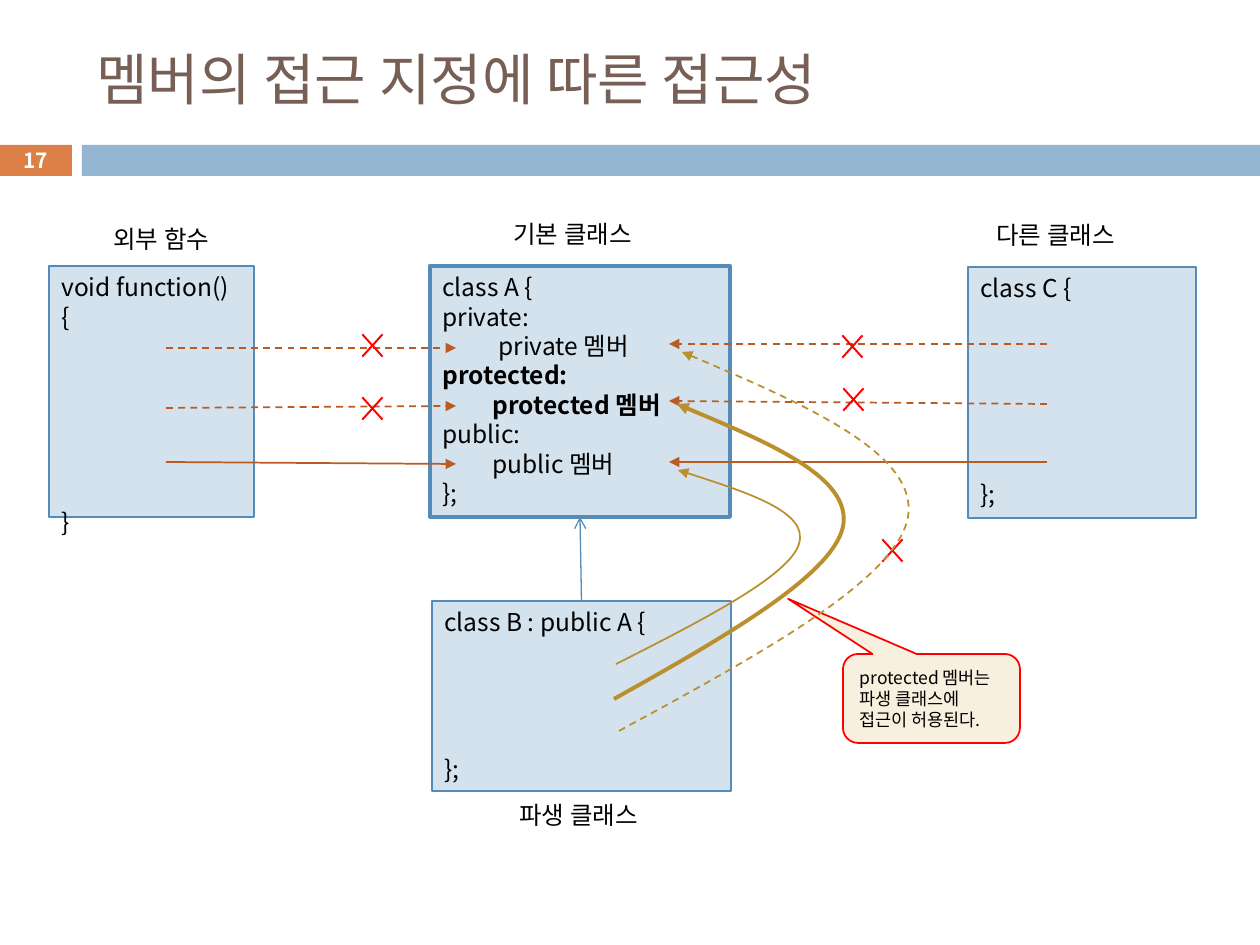
from lxml.etree import SubElement
from pptx import Presentation
from pptx.dml.color import RGBColor
from pptx.enum.dml import MSO_LINE as Dash
from pptx.enum.shapes import MSO_CONNECTOR as Link, MSO_SHAPE as Kind
from pptx.enum.text import MSO_ANCHOR as Anchor, PP_ALIGN as Align
from pptx.oxml.ns import qn
from pptx.util import Emu, Pt

SCALE = 914400 / 126
FONT = "Noto Sans CJK KR"
BLUE, PALE, RUST, GOLD, RED = "558BB8", "D4E2ED", "B95B22", "BA8F2D", "FF0000"


def px(n):
    return Emu(round(n * SCALE))


def color(code):
    return RGBColor.from_string(code)


def write(frame, text, size=14, ink="000000", bold=False, align=Align.LEFT,
          anchor=Anchor.TOP, wrap=True, indent=0, skip=0, first=True):
    frame.word_wrap = wrap
    frame.vertical_anchor = anchor
    para = frame.paragraphs[0] if first else frame.add_paragraph()
    para.alignment = align
    para.line_spacing = Pt(size * 1.2)
    if skip:
        para.space_before = Pt(size * 1.2 * skip)
    if indent:
        para._p.get_or_add_pPr().set("marL", str(px(indent)))
    run = para.add_run()
    run.text = text
    font = run.font
    font.name, font.size, font.bold = FONT, Pt(size), bold
    font.color.rgb = color(ink)
    SubElement(run._r.get_or_add_rPr(), qn("a:ea"), typeface=FONT)


def label(slide, text, x, y, w, h, **style):
    box = slide.shapes.add_textbox(px(x), px(y), px(w), px(h))
    write(box.text_frame, text, **style)


def block(slide, x, y, w, h, fill, edge=None, width=0.75, kind=Kind.RECTANGLE, adj=()):
    shape = slide.shapes.add_shape(kind, px(x), px(y), px(w), px(h))
    shape.shadow.inherit = False
    shape.fill.solid()
    shape.fill.fore_color.rgb = color(fill)
    for i, value in enumerate(adj):
        shape.adjustments[i] = value
    if edge:
        shape.line.color.rgb = color(edge)
        shape.line.width = Pt(width)
    else:
        shape.line.fill.background()
    return shape


def code(slide, place, rows, width=0.75):
    box = block(slide, *place, PALE, BLUE, width)
    for i, (text, style) in enumerate(rows):
        write(box.text_frame, text, first=i == 0, **style)
    return box


def stroke(shape, ink, width, dash, head):
    line = shape.line
    line.color.rgb = color(ink)
    line.width = Pt(width)
    if dash:
        line.dash_style = Dash.DASH
    SubElement(line._get_or_add_ln(), qn("a:tailEnd"), type=head)


def arrow(slide, x1, y1, x2, y2, ink=RUST, width=1, dash=False, head="triangle"):
    line = slide.shapes.add_connector(Link.STRAIGHT, px(x1), px(y1), px(x2), px(y2))
    stroke(line, ink, width, dash, head)
    SubElement(line._element.spPr, qn("a:effectLst"))
    return line


def curve(slide, start, *parts, width=1, dash=False):
    ends = [part[-1] for part in parts]
    form = slide.shapes.build_freeform(*start, scale=SCALE)
    form.add_line_segments(ends, close=False)
    shape = form.convert_to_shape()
    shape.shadow.inherit = False
    shape.fill.background()
    stroke(shape, GOLD, width, dash, "triangle")
    left = min(x for x, y in [start, *ends])
    top = min(y for x, y in [start, *ends])
    track = shape._element.spPr.find(".//" + qn("a:path"))
    for old in track.findall(qn("a:lnTo")):
        track.remove(old)
    for part in parts:
        bend = SubElement(track, qn("a:cubicBezTo"))
        for x, y in part:
            SubElement(bend, qn("a:pt"), x=str(x - left), y=str(y - top))


def frame(slide):
    block(slide, -1, 145, 73, 31, "DD8047")
    block(slide, 82, 145, 1178, 31, "94B6D2")
    label(slide, "멤버의 접근 지정에 따른 접근성", 84, 32, 1124, 93,
          size=32, ink="775F55", anchor=Anchor.MIDDLE)
    label(slide, "17", -1, 143, 73, 34, size=11.9, ink="FFFFFF", bold=True,
          align=Align.CENTER, anchor=Anchor.MIDDLE)


def boxes(slide):
    base = code(slide, (430, 266, 300, 251), [
        ("class A {", {}),
        ("private:", {}),
        ("private 멤버", {"indent": 56}),
        ("protected:", {"bold": True}),
        ("protected 멤버", {"bold": True, "indent": 50}),
        ("public:", {}),
        ("public 멤버", {"indent": 50}),
        ("};", {}),
    ], width=2.25)
    heir = code(slide, (432, 601, 299, 190),
                [("class B : public A {", {}), ("};", {"skip": 4})])
    code(slide, (968, 267, 228, 251), [("class C {", {}), ("};", {"skip": 6})])
    code(slide, (49, 266, 205, 251), [("void function() {", {}), ("}", {"skip": 6})])
    link = arrow(slide, 581, 601, 580, 517, ink=BLUE, width=0.75, head="arrow")
    link.begin_connect(heir, 0)
    link.end_connect(base, 2)


def main():
    deck = Presentation()
    deck.slide_width, deck.slide_height = px(1260), px(945)
    slide = deck.slides.add_slide(deck.slide_layouts[6])
    frame(slide)
    boxes(slide)

    for y1, y2, width, dash in [(344, 344, 1, True), (404, 401, 1, True), (462, 462, 0.75, False)]:
        arrow(slide, 1047, y1, 669, y2, width=width, dash=dash)
    for y1, y2, dash in [(348, 348, True), (408, 406, True), (462, 464, False)]:
        arrow(slide, 166, y1, 456, y2, dash=dash)
    for x, y in [(353, 324), (833, 325), (834, 378), (353, 387), (873, 529)]:
        block(slide, x, y, 39, 43, RED, kind=Kind.MATH_MULTIPLY, adj=[0.05])

    for text, x, y, w in [("외부 함수", 101, 218, 134), ("기본 클래스", 501, 213, 158),
                          ("다른 클래스", 984, 214, 158), ("파생 클래스", 507, 794, 158)]:
        label(slide, text, x, y, w, 43, wrap=False)

    curve(slide, (614, 699), [(723, 638), (832, 576), (843, 527)],
          [(853, 478), (765, 441), (677, 404)], width=2.25)
    note = block(slide, 843, 654, 177, 89, "F7F0DE", RED, 1,
                 Kind.ROUNDED_RECTANGULAR_CALLOUT, [-0.81, -1.12, 0.17])
    write(note.text_frame, "protected 멤버는 파생 클래스에 접근이 허용된다.",
          size=10, anchor=Anchor.MIDDLE)
    curve(slide, (616, 664), [(703, 620), (789, 576), (799, 544)],
          [(809, 512), (743, 491), (678, 470)])
    curve(slide, (619, 731), [(759, 655), (897, 580), (908, 517)],
          [(919, 454), (800, 402), (682, 352)], dash=True)
    deck.save("out.pptx")


if __name__ == "__main__":
    main()
